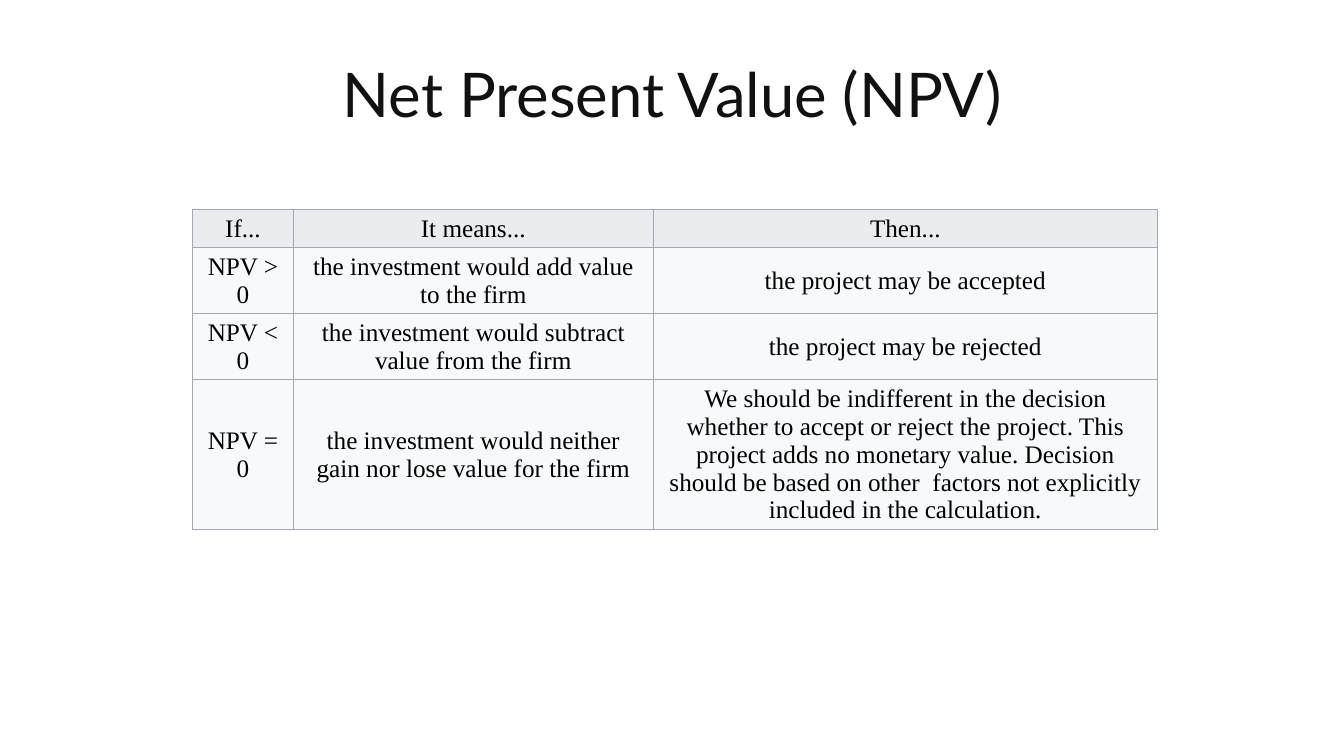
from lxml.etree import SubElement
from pptx import Presentation
from pptx.dml.color import RGBColor
from pptx.enum.text import MSO_ANCHOR, PP_ALIGN
from pptx.oxml.ns import qn
from pptx.util import Inches, Pt

COLORS = {
    "title": "111111",
    "text": "000000",
    "header": "EAECF0",
    "body": "F8F9FA",
    "border": "A2A9B1",
}
COLUMN_WIDTHS = [1, 3.57, 5]
ROW_HEIGHTS = [0.38, 0.65, 0.65, 1.48]
DECISION_RULES = [
    ("If...", "It means...", "Then..."),
    ("NPV > 0", "the investment would add value to the firm",
     "the project may be accepted"),
    ("NPV < 0", "the investment would subtract value from the firm",
     "the project may be rejected"),
    ("NPV = 0", "the investment would neither gain nor lose value for the firm",
     "We should be indifferent in the decision whether to accept or reject the "
     "project. This project adds no monetary value. Decision should be based on "
     "other  factors not explicitly included in the calculation."),
]


def format_paragraph(paragraph, font_name, size, color):
    paragraph.alignment = PP_ALIGN.CENTER
    paragraph.font.name = font_name
    paragraph.font.size = Pt(size)
    paragraph.font.color.rgb = RGBColor.from_string(COLORS[color])


def add_borders(cell):
    """Outline all four sides; call before the fill, which must follow the lines."""
    properties = cell._tc.get_or_add_tcPr()
    for side in ("a:lnL", "a:lnR", "a:lnT", "a:lnB"):
        line = SubElement(properties, qn(side), w=str(Pt(0.75)))
        line_fill = SubElement(line, qn("a:solidFill"))
        SubElement(line_fill, qn("a:srgbClr"), val=COLORS["border"])


prs = Presentation()
prs.slide_width, prs.slide_height = Inches(13.33), Inches(7.5)
slide = prs.slides.add_slide(prs.slide_layouts[5])

title = slide.shapes.title
title.left, title.top = Inches(0.67), Inches(0.3)
title.width, title.height = Inches(12), Inches(1.25)
title.text_frame.text = "Net Present Value (NPV)"
title.text_frame.vertical_anchor = MSO_ANCHOR.MIDDLE
format_paragraph(title.text_frame.paragraphs[0], "Lato", 44, "title")

rules_table = slide.shapes.add_table(
    len(ROW_HEIGHTS), len(COLUMN_WIDTHS), Inches(1.91), Inches(2.08),
    Inches(sum(COLUMN_WIDTHS)), Inches(sum(ROW_HEIGHTS))).table
for column, width in zip(rules_table.columns, COLUMN_WIDTHS):
    column.width = Inches(width)
for row, height in zip(rules_table.rows, ROW_HEIGHTS):
    row.height = Inches(height)

rules_table.first_row = False
rules_table.horz_banding = False
for r, rule in enumerate(DECISION_RULES):
    for c, wording in enumerate(rule):
        cell = rules_table.cell(r, c)
        cell.text = wording
        cell.vertical_anchor = MSO_ANCHOR.MIDDLE
        add_borders(cell)
        cell.fill.solid()
        cell.fill.fore_color.rgb = RGBColor.from_string(
            COLORS["header" if r == 0 else "body"])
        format_paragraph(cell.text_frame.paragraphs[0], "Times New Roman", 18, "text")

prs.save("out.pptx")
